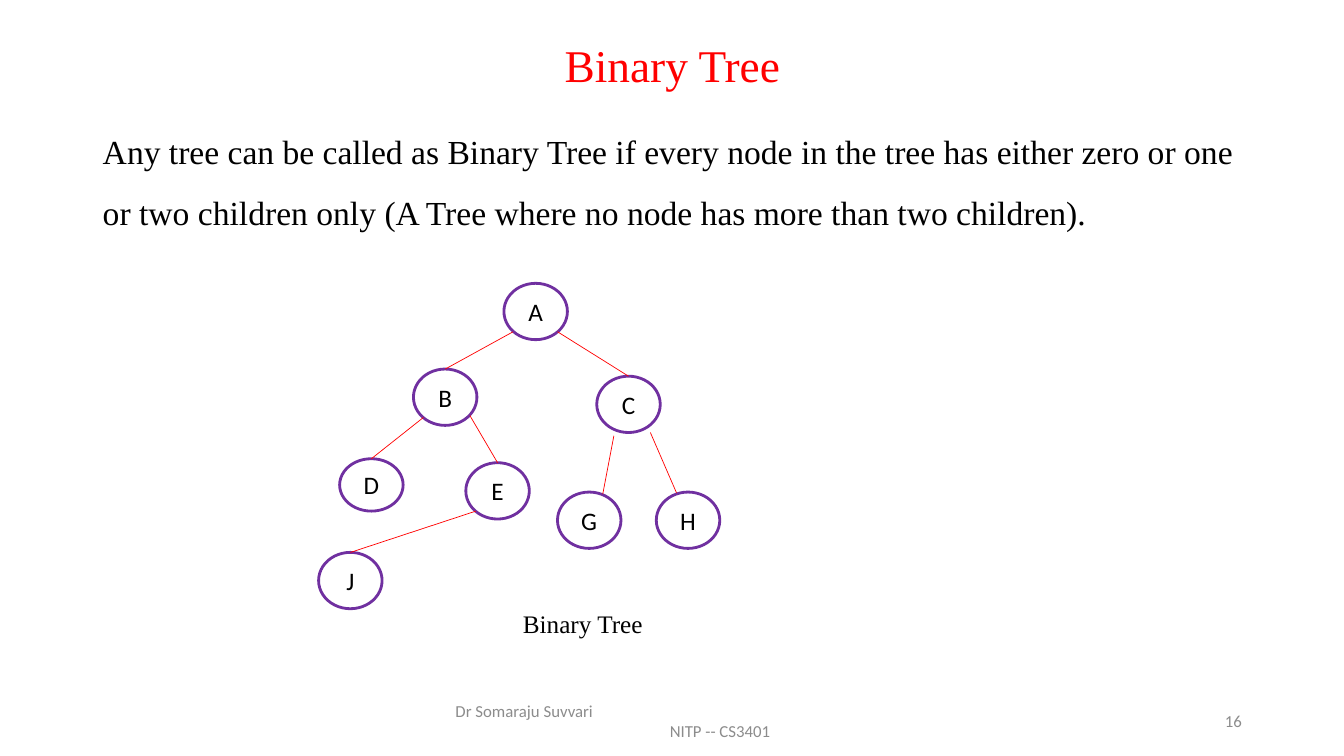
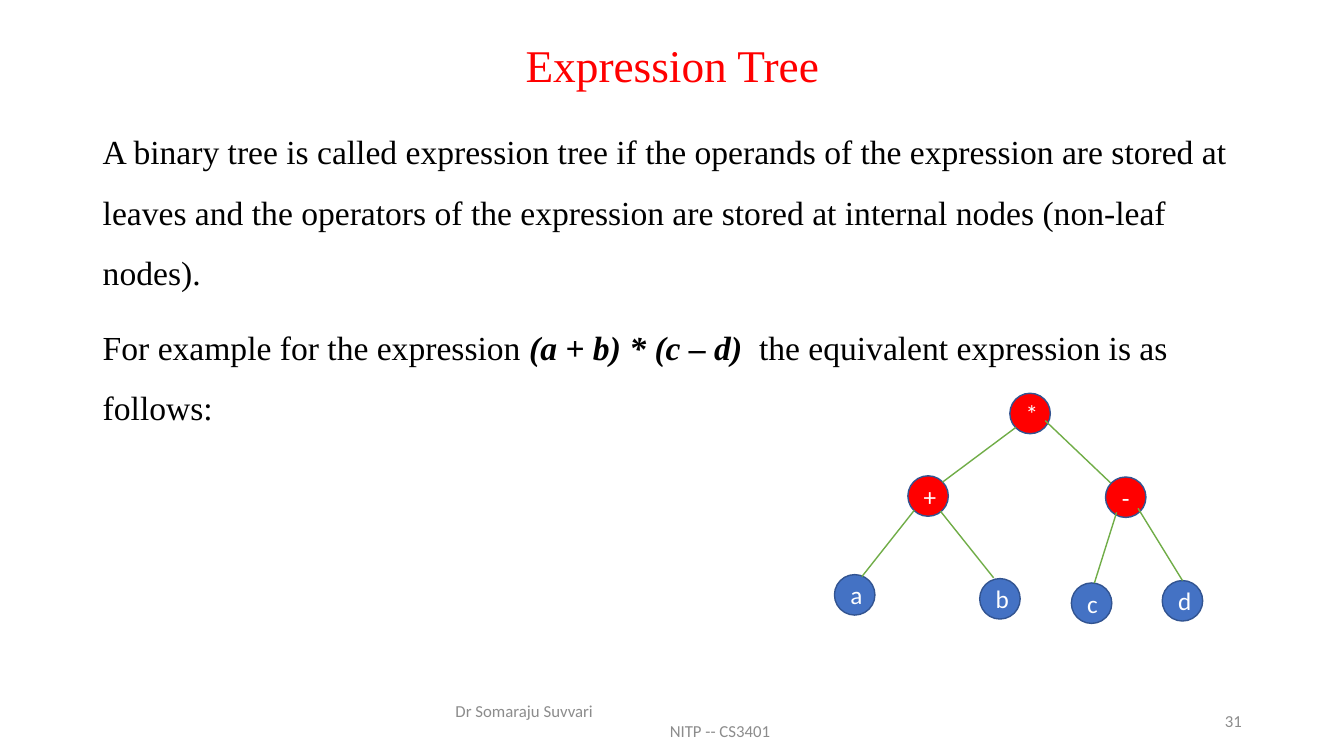
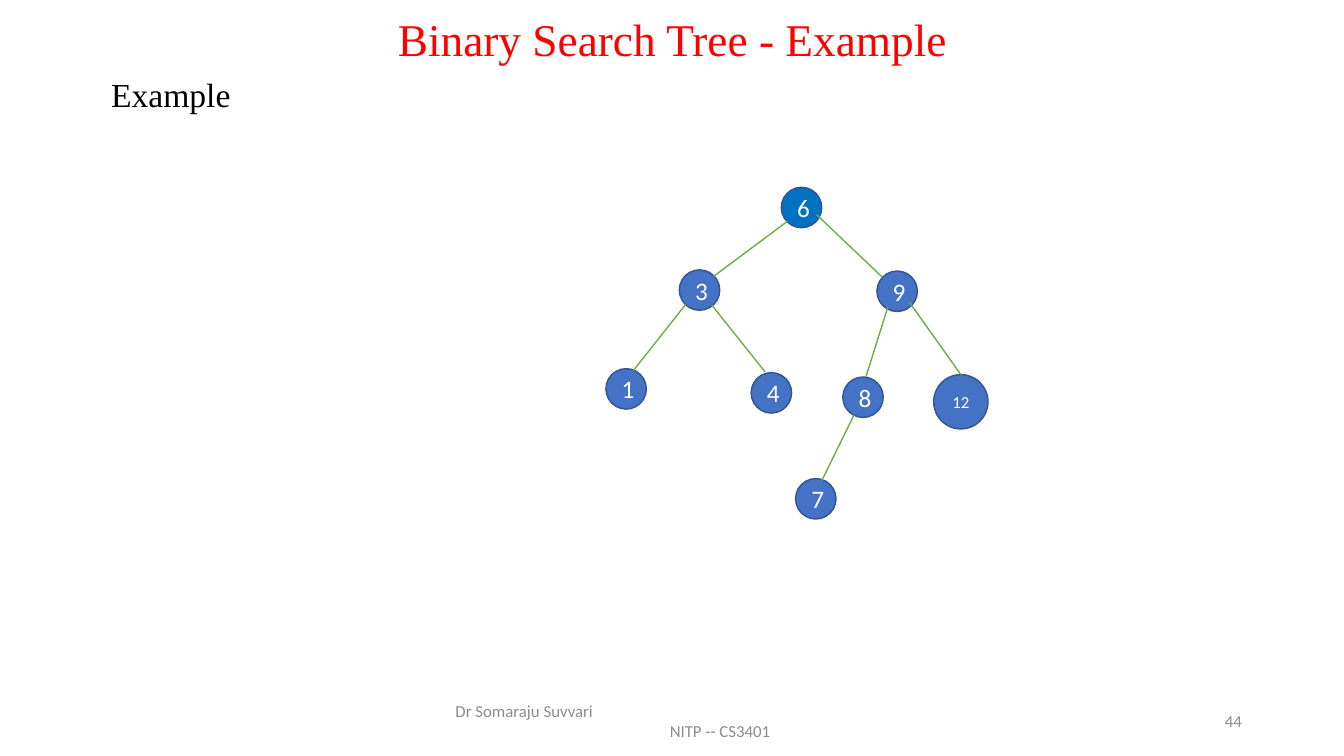
from collections import namedtuple

from lxml import etree
from pptx import Presentation
from pptx.dml.color import RGBColor
from pptx.enum.shapes import MSO_CONNECTOR, MSO_SHAPE
from pptx.enum.text import MSO_ANCHOR, PP_ALIGN
from pptx.oxml.ns import qn
from pptx.util import Cm, Pt

OVAL = MSO_SHAPE.OVAL
CIRCLE = MSO_SHAPE.FLOWCHART_CONNECTOR
STRAIGHT = MSO_CONNECTOR.STRAIGHT
TOP, MIDDLE = MSO_ANCHOR.TOP, MSO_ANCHOR.MIDDLE
LEFT, CENTER = PP_ALIGN.LEFT, PP_ALIGN.CENTER
RIGHT, JUSTIFY = PP_ALIGN.RIGHT, PP_ALIGN.JUSTIFY

RED = RGBColor(0xFF, 0x00, 0x00)
BLACK = RGBColor(0x00, 0x00, 0x00)
WHITE = RGBColor(0xFF, 0xFF, 0xFF)
GRAY = RGBColor(0x8C, 0x8C, 0x8C)
PURPLE = RGBColor(0x70, 0x30, 0xA0)
GREEN = RGBColor(0x70, 0xAD, 0x47)
NAVY = RGBColor(0x32, 0x54, 0x91)
BLUE = RGBColor(0x44, 0x72, 0xC4)
DEEP_BLUE = RGBColor(0x00, 0x70, 0xC0)

SERIF, SANS = "Times New Roman", "Calibri"
MARGIN, CONTENT_WIDTH = 2.34, 29.21

# All positions are in centimetres; nodes and edges are relative to their tree.
Node = namedtuple("Node", "label left top width height fill size")
# An edge without an end is joined to the top of its child.
Edge = namedtuple("Edge", "child start end", defaults=[None])
Style = namedtuple("Style", "shape outline outline_width ink edge edge_width")

OUTLINED = Style(OVAL, PURPLE, 2, BLACK, RED, 0.5)
FILLED = Style(CIRCLE, NAVY, 1, WHITE, GREEN, 1)

BINARY_PLACES = {
    "A": (4.67, 0), "B": (2.39, 2.16), "C": (7.01, 2.34), "D": (0.53, 4.42),
    "E": (3.71, 4.52), "G": (6.02, 5.26), "H": (8.51, 5.26), "J": (0, 6.78),
}
BINARY_EDGES = [
    Edge("B", (4.9, 1.22)),
    Edge("C", (6.02, 1.22)),
    Edge("D", (2.64, 3.38)),
    Edge("E", (3.81, 3.33)),
    Edge("G", (7.44, 3.84), (7.16, 5.31)),
    Edge("H", (8.36, 3.76), (9.02, 5.28)),
    Edge("J", (3.96, 5.74)),
]

# Level order: root, two inner nodes, four leaves, one deeper leaf
CIRCLE_PLACES = [
    (4.42, 0), (1.85, 2.08), (6.83, 2.11), (0, 4.57),
    (3.66, 4.67), (5.97, 4.78), (8.26, 4.72), (4.78, 7.34),
]
CIRCLE_LINES = [
    ((4.57, 0.86), (2.72, 2.24)),
    ((5.31, 0.69), (6.96, 2.26)),
    ((2.01, 2.95), (0.69, 4.62)),
    ((2.67, 2.97), (4.01, 4.65)),
    ((7.11, 3), (6.55, 4.78)),
    ((7.65, 2.9), None),
    ((6.25, 5.74), (5.44, 7.39)),
]


def format_run(run, font, size, color):
    run.font.name = font
    run.font.size = Pt(size)
    run.font.color.rgb = color


def add_text(slide, box, text, font, size, color, align=LEFT, anchor=TOP,
             wrap=True):
    """Place a text box with one paragraph for each line of the text."""
    shape = slide.shapes.add_textbox(*(Cm(length) for length in box))
    frame = shape.text_frame
    frame.text = text
    frame.word_wrap = wrap
    frame.vertical_anchor = anchor
    for paragraph in frame.paragraphs:
        paragraph.alignment = align
        for run in paragraph.runs:
            format_run(run, font, size, color)
    return frame


def add_title(slide, top, text):
    frame = add_text(slide, (MARGIN, top, CONTENT_WIDTH, 1.37), text,
                     SERIF, 32.4, RED, CENTER, MIDDLE)
    frame.paragraphs[0].line_spacing = 0.9


def add_body(slide, top, height, text, align=LEFT, spacing=1.5):
    frame = add_text(slide, (MARGIN, top, CONTENT_WIDTH, height), text,
                     SERIF, 24, BLACK, align)
    for paragraph in frame.paragraphs:
        paragraph.line_spacing = spacing
        paragraph.space_before = Pt(10)
    return frame


def add_footer(slide, number):
    top, height = 17.65, 1.02
    frame = add_text(slide, (11.23, top, 11.43, height),
                     "Dr Somaraju Suvvari\nNITP -- CS3401",
                     SANS, 12, GRAY, LEFT, MIDDLE)
    course = frame.paragraphs[1]._p.get_or_add_pPr()
    course.set("marL", str(Cm(5.4)))
    add_text(slide, (23.93, top, 7.62, height), str(number),
             SANS, 12, GRAY, RIGHT, MIDDLE)


def add_node(slide, left, top, node, style):
    shape = slide.shapes.add_shape(
        style.shape, Cm(left + node.left), Cm(top + node.top),
        Cm(node.width), Cm(node.height))
    shape.shadow.inherit = False
    shape.fill.solid()
    shape.fill.fore_color.rgb = node.fill
    shape.line.color.rgb = style.outline
    shape.line.width = Pt(style.outline_width)
    shape.text_frame.text = node.label
    paragraph = shape.text_frame.paragraphs[0]
    paragraph.alignment = CENTER
    format_run(paragraph.runs[0], SANS, node.size, style.ink)
    return shape


def add_tree(slide, left, top, nodes, edges, style):
    shapes = {node.label: add_node(slide, left, top, node, style)
              for node in nodes}
    for edge in edges:
        start_x, start_y = edge.start
        end_x, end_y = edge.end or edge.start
        line = slide.shapes.add_connector(
            STRAIGHT, Cm(left + start_x), Cm(top + start_y),
            Cm(left + end_x), Cm(top + end_y))
        if edge.end is None:
            line.end_connect(shapes[edge.child], 0)
        line.line.color.rgb = style.edge
        line.line.width = Pt(style.edge_width)
        etree.SubElement(line._element.spPr, qn("a:effectLst"))


def add_circle_tree(slide, left, top, labels, root_fill, inner_fill):
    """Fill the shared circle layout with labels in level order."""
    fills = [root_fill] + [inner_fill] * 2 + [BLUE] * 5
    nodes = []
    for label, place, fill in zip(labels, CIRCLE_PLACES, fills):
        diameter, size = (1.37, 12) if len(label) > 1 else (1.02, 18)
        nodes.append(Node(label, *place, diameter, diameter, fill, size))
    edges = [Edge(label, *line) for label, line in zip(labels[1:], CIRCLE_LINES)]
    add_tree(slide, left, top, nodes, edges, FILLED)


def new_slide(presentation, title, number, title_top=1.02):
    slide = presentation.slides.add_slide(presentation.slide_layouts[6])
    add_title(slide, title_top, title)
    add_footer(slide, number)
    return slide


def build_binary_tree(presentation):
    slide = new_slide(presentation, "Binary Tree", 16)
    add_body(slide, 2.67, 14.48,
             "Any tree can be called as Binary Tree if every node in the tree "
             "has either zero or one or two children only (A Tree where no "
             "node has more than two children).")
    nodes = [Node(label, *place, 1.6, 1.32 if label == "D" else 1.42, WHITE, 18)
             for label, place in BINARY_PLACES.items()]
    add_tree(slide, 8.03, 7.14, nodes, BINARY_EDGES, OUTLINED)
    add_text(slide, (12.93, 15.21, 3.66, 1.02), "Binary Tree",
             SERIF, 18, BLACK, wrap=False)


def build_expression_tree(presentation):
    slide = new_slide(presentation, "Expression Tree", 31)
    frame = add_body(
        slide, 2.67, 14.48,
        "A binary tree is called expression tree if the operands of the "
        "expression are stored at leaves and the operators of the expression "
        "are stored at internal nodes (non-leaf nodes).\n"
        "For example for the expression ")
    example = frame.paragraphs[1]
    for text, strong in (("(a + b) * (c – d) ", True),
                         (" the equivalent expression is as follows:", False)):
        run = example.add_run()
        run.text = text
        format_run(run, SERIF, 24, BLACK)
        run.font.bold = run.font.italic = strong
    add_circle_tree(slide, 21.03, 9.91, ["*", "+", "-", "a", "b", "c", "d"],
                    RED, RED)


def build_search_tree(presentation):
    slide = new_slide(presentation, "Binary Search Tree - Example", 44, 0.38)
    add_body(slide, 1.75, 15.42, " Example", JUSTIFY, 1.0)
    add_circle_tree(slide, 15.27, 4.72,
                    ["6", "3", "9", "1", "4", "8", "12", "7"],
                    DEEP_BLUE, BLUE)


def main():
    presentation = Presentation()
    presentation.slide_width = Cm(33.87)
    presentation.slide_height = Cm(19.05)
    build_binary_tree(presentation)
    build_expression_tree(presentation)
    build_search_tree(presentation)
    presentation.save("out.pptx")


if __name__ == "__main__":
    main()
